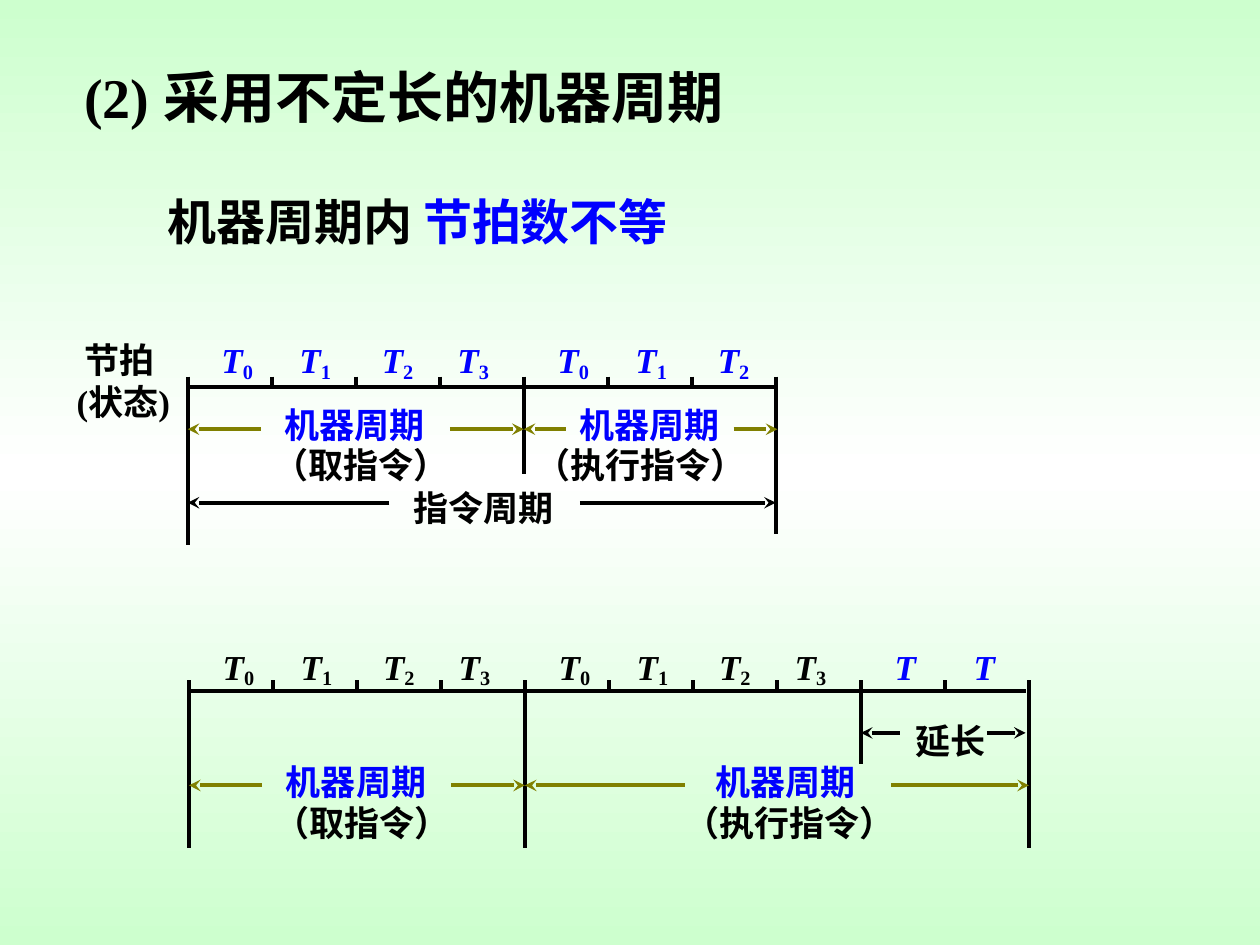
from copy import deepcopy
from dataclasses import dataclass
from typing import NamedTuple

from lxml.etree import SubElement
from pptx import Presentation
from pptx.dml.color import RGBColor
from pptx.enum.shapes import MSO_CONNECTOR
from pptx.enum.text import MSO_AUTO_SIZE
from pptx.oxml.ns import qn
from pptx.util import Inches, Pt

COLORS = {
    "black": "000000",
    "blue": "0000FF",
    "olive": "808000",
    "mint": "CDFFCE",
    "white": "FFFFFF",
}
FONT = "Times New Roman"
COLUMN = 2 / 3
ROW = 1 / 12
BODY_SIZE = 20
LABEL_HEIGHT = 0.44
BEAT_CENTERS = (0.59, 1.52, 2.5, 3.4)


class Span(NamedTuple):
    text: str
    color: str = "black"
    italic: bool = False
    lowered: bool = False


class Divider(NamedTuple):
    column: float
    rows: float


class Arrow(NamedTuple):
    start: float
    end: float
    row: float
    color: str = "olive"


class Label(NamedTuple):
    center: float
    row: float
    text: str
    color: str = "black"


class Beat(NamedTuple):
    center: float
    number: str
    color: str


@dataclass(frozen=True)
class Timeline:
    left: float
    top: float
    columns: int
    axis_end: float
    beat_row: float
    dividers: tuple[Divider, ...]
    arrows: tuple[Arrow, ...]
    labels: tuple[Label, ...]
    beats: tuple[Beat, ...]

    def x(self, column: float) -> float:
        return self.left + column * COLUMN

    def y(self, row: float) -> float:
        return self.top + row * ROW


def numbered_beats(count: int, color: str) -> tuple[Beat, ...]:
    return tuple(
        Beat(index // 4 * 4 + BEAT_CENTERS[index % 4], str(index % 4), color)
        for index in range(count)
    )


FIXED = Timeline(
    left=1.49, top=2.99, columns=7, axis_end=7, beat_row=-4.2,
    dividers=(Divider(0, 16), Divider(4, 9.3), Divider(7, 15)),
    arrows=(
        Arrow(0.87, 0, 5), Arrow(3.12, 4, 5),
        Arrow(4.5, 4, 5), Arrow(6.5, 7.02, 5),
        Arrow(2.4, 0, 12, "black"), Arrow(4.67, 7, 12, "black"),
    ),
    labels=(
        Label(1.99, 2, "机器周期", "blue"), Label(5.5, 2, "机器周期", "blue"),
        Label(2.06, 5.8, "（取指令）"), Label(5.39, 5.8, "（执行指令）"),
        Label(3.52, 9.9, "指令周期"),
    ),
    beats=numbered_beats(7, "blue"),
)
EXTENDED = Timeline(
    left=1.5, top=5.4, columns=10, axis_end=9.96, beat_row=-3.9,
    dividers=(Divider(0, 16), Divider(4, 16), Divider(8, 8), Divider(10, 16)),
    arrows=(
        Arrow(0.87, 0, 10), Arrow(3.12, 4, 10),
        Arrow(5.9, 4, 10), Arrow(8.36, 10, 10),
        Arrow(8.46, 8, 5, "black"), Arrow(9.5, 9.96, 5, "black"),
    ),
    labels=(
        Label(1.99, 7, "机器周期", "blue"), Label(7.1, 7, "机器周期", "blue"),
        Label(2.06, 10.9, "（取指令）"), Label(7.15, 10.9, "（执行指令）"),
        Label(9.07, 3.1, "延长"),
    ),
    beats=numbered_beats(8, "black") + (Beat(8.53, "", "blue"), Beat(9.47, "", "blue")),
)


def add_text(shapes, left: float, top: float, width: float, height: float,
             paragraphs: list[list[Span]], size: int = BODY_SIZE, wrap: bool = False) -> None:
    box = shapes.add_textbox(Inches(left), Inches(top), Inches(width), Inches(height))
    frame = box.text_frame
    frame.word_wrap = wrap
    frame.auto_size = MSO_AUTO_SIZE.SHAPE_TO_FIT_TEXT
    for index, spans in enumerate(paragraphs):
        para = frame.add_paragraph() if index else frame.paragraphs[0]
        for span in spans:
            run = para.add_run()
            run.text = span.text
            run.font.name = FONT
            run.font.size = Pt(size)
            run.font.bold = True
            run.font.italic = span.italic
            run.font.color.rgb = RGBColor.from_string(COLORS[span.color])
            if span.lowered:
                run._r.get_or_add_rPr().set("baseline", "-15000")


def add_line(shapes, start: tuple[float, float], end: tuple[float, float],
             color: str = "black", arrow: bool = False) -> None:
    points = [Inches(value) for value in (*start, *end)]
    connector = shapes.add_connector(MSO_CONNECTOR.STRAIGHT, *points)
    connector.line.width = Pt(2.25)
    connector.line.color.rgb = RGBColor.from_string(COLORS[color])
    if arrow:
        SubElement(connector.line._get_or_add_ln(), qn("a:tailEnd"), type="stealth")
    SubElement(connector._element.spPr, qn("a:effectLst"))


def draw_timeline(shapes, timeline: Timeline) -> None:
    x, y = timeline.x, timeline.y
    add_line(shapes, (x(0), y(1)), (x(timeline.axis_end), y(1)))
    heights = {divider.column: divider.rows for divider in timeline.dividers}
    for column in range(timeline.columns + 1):
        add_line(shapes, (x(column), y(0)), (x(column), y(heights.get(column, 1))))
    for arrow in timeline.arrows:
        add_line(shapes, (x(arrow.start), y(arrow.row)), (x(arrow.end), y(arrow.row)),
                 arrow.color, arrow=True)
    for label in timeline.labels:
        width = len(label.text) * BODY_SIZE / 72 + 0.2
        add_text(shapes, x(label.center) - width / 2, y(label.row), width, LABEL_HEIGHT,
                 [[Span(label.text, label.color)]])
    for beat in timeline.beats:
        spans = [Span("T", beat.color, italic=True)]
        if beat.number:
            spans.append(Span(beat.number, beat.color, lowered=True))
        width = 0.45 if beat.number else 0.37
        add_text(shapes, x(beat.center) - width / 2, y(timeline.beat_row), width,
                 LABEL_HEIGHT, [spans])


def paint_background(page) -> None:
    fill = page.background.fill
    fill.gradient()
    fill.gradient_angle = 90
    stop_list = next(page.element.iter(qn("a:gsLst")))
    stop_list.append(deepcopy(stop_list[0]))
    for index, color in enumerate(("mint", "white", "mint")):
        stop = fill.gradient_stops[index]
        stop.position = index / 2
        stop.color.rgb = RGBColor.from_string(COLORS[color])


def main() -> None:
    deck = Presentation()
    deck.slide_width, deck.slide_height = Inches(10), Inches(7.5)
    page = deck.slides.add_slide(deck.slide_layouts[6])
    paint_background(page)
    add_text(page.shapes, 0.57, 0.45, 6.4, 0.64,
             [[Span("(2) 采用不定长的机器周期")]], size=32, wrap=True)
    add_text(page.shapes, 1.23, 1.47, 5.51, 0.57,
             [[Span("机器周期内 "), Span("节拍数不等", "blue")]], size=28, wrap=True)
    add_text(page.shapes, 0.51, 2.64, 1.07, 0.77, [[Span(" 节拍")], [Span("(状态)")]])
    draw_timeline(page.shapes, FIXED)
    draw_timeline(page.shapes.add_group_shape().shapes, EXTENDED)
    deck.save("out.pptx")


if __name__ == "__main__":
    main()
